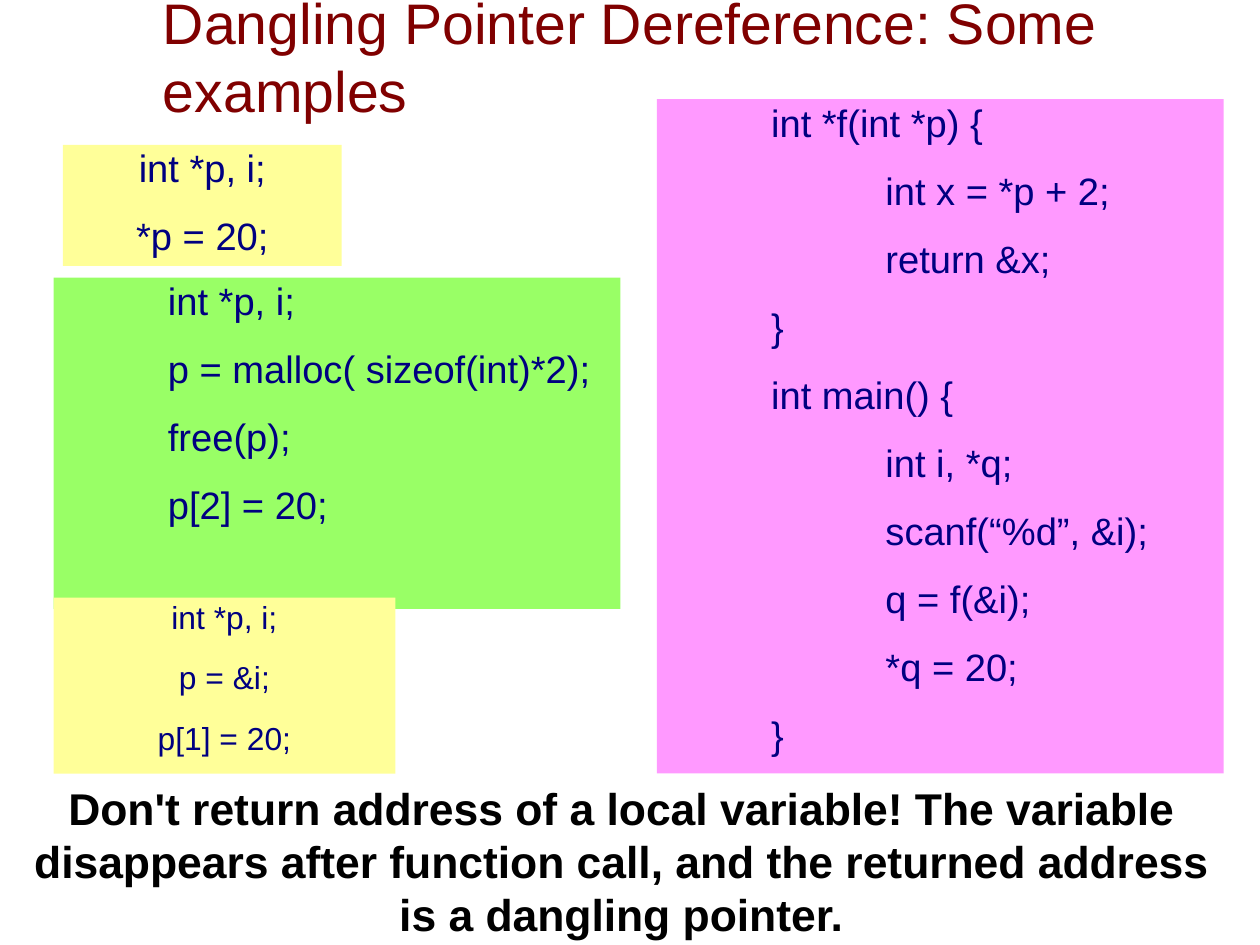
from lxml.etree import SubElement
from pptx import Presentation
from pptx.dml.color import RGBColor
from pptx.enum.text import MSO_ANCHOR as Anchor, MSO_AUTO_SIZE as AutoSize, PP_ALIGN as Align
from pptx.oxml.ns import qn
from pptx.util import Pt

# Content: each line of text is (indent level, wording)
TITLE = [(0, "Dangling Pointer Dereference: Some examples")]
WARNING = [(0, "Don't return address of a local variable! The variable disappears "
               "after function call, and the returned address is a dangling pointer.")]
UNINITIALISED = [(0, "int *p, i;"), (0, "*p = 20;")]
LOCAL_ADDRESS = [
    (1, "int *f(int *p) {"),
    (2, "int x = *p + 2;"),
    (2, "return &x;"),
    (1, "}"),
    (1, "int main() {"),
    (2, "int i, *q;"),
    (2, "scanf(“%d”, &i);"),
    (2, "q = f(&i);"),
    (2, "*q = 20;"),
    (1, "}"),
]
FREED = [(1, "int *p, i;"), (1, "p = malloc( sizeof(int)*2);"),
         (1, "free(p);"), (1, "p[2] = 20;")]
OUT_OF_BOUNDS = [(0, "int *p, i;"), (0, "p = &i;"), (0, "p[1] = 20;")]

# Code boxes: lines, (left, top, width, height), fill, size, alignment
CODE_BOXES = [
    (UNINITIALISED, (39.6, 91.2, 175.7, 76.3), "FFFF99", 24, Align.CENTER),
    (LOCAL_ADDRESS, (413.8, 62.4, 357.1, 424.8), "FF99FF", 24, Align.LEFT),
    (FREED, (33.8, 174.8, 357.1, 208.8), "99FF66", 24, Align.LEFT),
    (OUT_OF_BOUNDS, (33.8, 376.5, 215.3, 110.8), "FFFF99", 20, Align.CENTER),
]
TAB = 72
TITLE_INDENT = 63


def color(value):
    return RGBColor.from_string(value)


def set_all(target, values):
    for name, value in values.items():
        setattr(target, name, value)


def place(shape, box):
    set_all(shape, dict(zip(("left", "top", "width", "height"), map(Pt, box))))


def write(shape, lines, size, ink, alignment, bold=False, after=0,
          anchor=Anchor.TOP, margins=(0, 0), base_indent=0):
    frame = shape.text_frame
    across, down = map(Pt, margins)
    set_all(frame, {"word_wrap": True, "auto_size": AutoSize.NONE,
                    "vertical_anchor": anchor,
                    "margin_left": across, "margin_right": across,
                    "margin_top": down, "margin_bottom": down})
    for index, (level, wording) in enumerate(lines):
        paragraph = frame.paragraphs[0] if index == 0 else frame.add_paragraph()
        set_all(paragraph, {"alignment": alignment, "line_spacing": 1.0,
                            "space_before": Pt(0), "space_after": Pt(after)})
        run = paragraph.add_run()
        run.text = wording
        set_all(run.font, {"name": "Arial", "size": Pt(size), "bold": bold})
        run.font.color.rgb = color(ink)
        # Indent without a bullet
        properties = paragraph._p.get_or_add_pPr()
        properties.set("marL", str(Pt(base_indent + level * TAB)))
        properties.set("indent", "0")
        SubElement(properties, qn("a:buNone"))


def main():
    presentation = Presentation()
    set_all(presentation, {"slide_width": Pt(793.75), "slide_height": Pt(595.25)})
    # The comparison layout offers a title and four body placeholders
    slide = presentation.slides.add_slide(presentation.slide_layouts[4])

    # Title
    title = slide.shapes.title
    place(title, (39.6, -8.6, 714.2, 87.1))
    write(title, TITLE, 36, "800000", Align.LEFT, anchor=Anchor.MIDDLE,
          base_indent=TITLE_INDENT)

    # Code examples
    bodies = [shape for shape in slide.placeholders if shape.placeholder_format.idx > 0]
    for body, (lines, box, fill, size, alignment) in zip(bodies, CODE_BOXES):
        place(body, box)
        body.fill.solid()
        body.fill.fore_color.rgb = color(fill)
        write(body, lines, size, "000080", alignment, after=14.1)

    # Warning at the foot
    warning = slide.shapes.add_textbox(0, 0, 0, 0)
    place(warning, (11.5, 488.2, 759.6, 107.1))
    write(warning, WARNING, 28, "000000", Align.CENTER, bold=True, margins=(7.2, 3.6))

    presentation.save("out.pptx")


if __name__ == "__main__":
    main()
